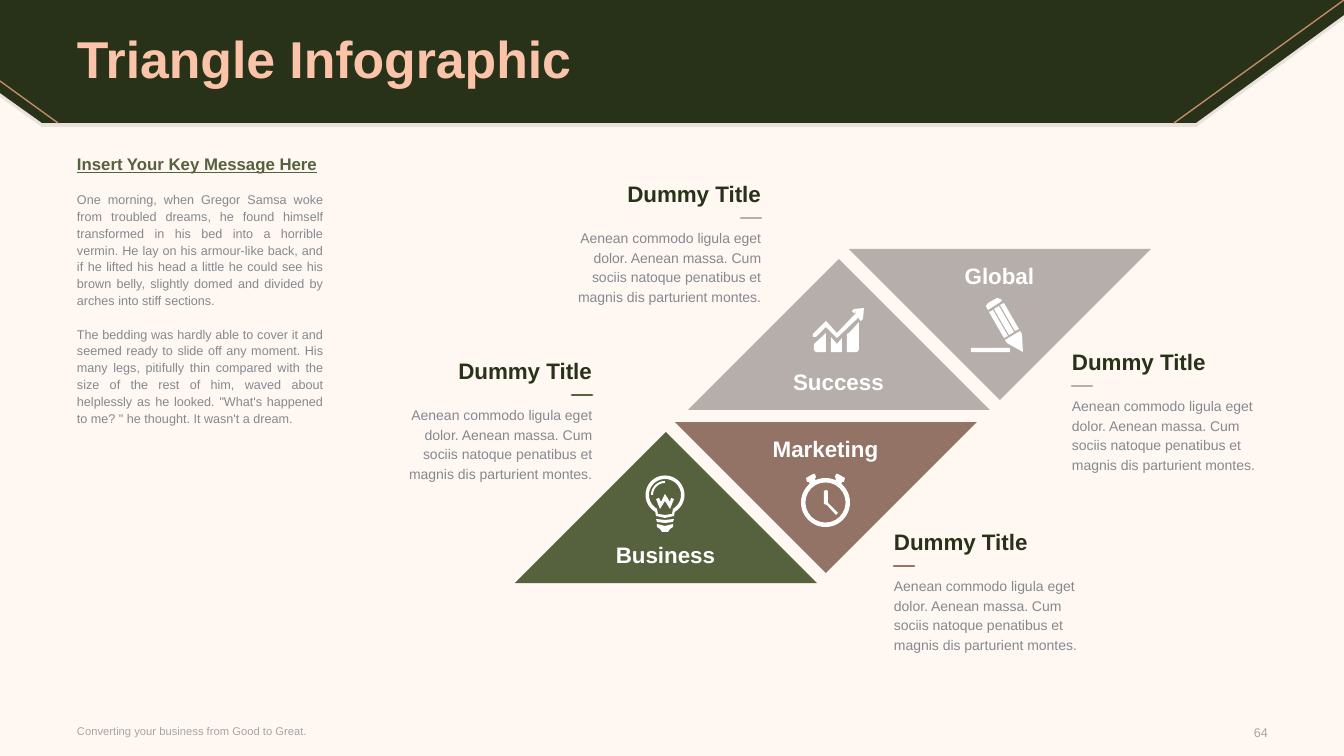
from math import cos, radians, sin

from lxml.etree import SubElement
from pptx import Presentation
from pptx.dml.color import RGBColor
from pptx.enum.shapes import MSO_CONNECTOR, MSO_SHAPE
from pptx.enum.text import MSO_ANCHOR, PP_ALIGN
from pptx.oxml import parse_xml
from pptx.oxml.ns import nsdecls, qn
from pptx.util import Pt

PX = 12192000 / 1344  # EMU per px
color = RGBColor.from_string
DARK, GREEN, BROWN, TAUPE = "283218", "56613D", "927365", "B6AEAB"
GREY, PALE, WHITE = "85898F", "A6A6A6", "FFFFFF"
LEFT, CENTER, RIGHT = PP_ALIGN.LEFT, PP_ALIGN.CENTER, PP_ALIGN.RIGHT

prs = Presentation()
prs.slide_width, prs.slide_height = round(1344 * PX), round(756 * PX)
s = prs.slides.add_slide(prs.slide_layouts[6])
s.background.fill.solid()
s.background.fill.fore_color.rgb = color("FFF7F2")


def outline(contours, fill):
    """Draw closed contours, given in px, as one filled shape."""
    points = [[(x * PX, y * PX) for x, y in c] for c in contours]
    fb = s.shapes.build_freeform(*points[0][0], scale=1.0)
    for i, c in enumerate(points):
        if i:
            fb.move_to(*c[0])
        fb.add_line_segments(c[1:], close=True)
    sp = fb.convert_to_shape()
    sp.shadow.inherit = False
    sp.fill.solid()
    sp.fill.fore_color.rgb = color(fill)
    sp.line.fill.background()
    return sp


def text(box, words, size, fill, align=LEFT, spacing=None, anchor=MSO_ANCHOR.TOP, **font):
    """Add a text box without margins and return its frame."""
    tf = s.shapes.add_textbox(*(round(v * PX) for v in box)).text_frame
    tf.word_wrap = True
    tf.vertical_anchor = anchor
    tf.margin_left = tf.margin_right = tf.margin_top = tf.margin_bottom = 0
    for i, line in enumerate(words.split("\n")):
        p = tf.paragraphs[0] if i == 0 else tf.add_paragraph()
        p.alignment = align
        p.line_spacing = spacing
        r = p.add_run()
        r.text = line
        for name, value in {"name": "Arial", "size": Pt(size), **font}.items():
            setattr(r.font, name, value)
        r.font.color.rgb = color(fill)
    return tf


# Header band and its soft shadow
band = [(0, 0), (1344, 0), (1344, 15), (1196, 123), (42, 123), (0, 93)]
sp = outline([[(x, y + 4) for x, y in band]], DARK)
SubElement(sp.fill._xPr.find(".//" + qn("a:srgbClr")), qn("a:alpha"), val="10000")
outline([band], DARK)

# Title with gradient letters
tf = text((77, 3, 1190, 118), "Triangle Infographic", 37, "FBC4AA",
          spacing=0.9, anchor=MSO_ANCHOR.MIDDLE, bold=True)
stops = [(0, "B98763"), (35, "FBC4AA"), (64, "FBC4AA"), (83, "BF896E"), (100, "784D31")]
gs = "".join(f'<a:gs pos="{pos * 1000}"><a:srgbClr val="{c}"/></a:gs>' for pos, c in stops)
rPr = tf.paragraphs[0].runs[0].font._element
rPr.replace(rPr.find(qn("a:solidFill")), parse_xml(
    f'<a:gradFill {nsdecls("a")}><a:gsLst>{gs}</a:gsLst><a:lin ang="0"/></a:gradFill>'))

# Key message
tf = text((77, 157, 246, 523),
          "Insert Your Key Message Here\n"
          "One morning, when Gregor Samsa woke from troubled dreams, he found himself "
          "transformed in his bed into a horrible vermin. He lay on his armour-like back, "
          "and if he lifted his head a little he could see his brown belly, slightly domed "
          "and divided by arches into stiff sections.\n"
          "The bedding was hardly able to cover it and seemed ready to slide off any moment. "
          "His many legs, pitifully thin compared with the size of the rest of him, waved "
          "about helplessly as he looked. \"What's happened to me? \" he thought. "
          "It wasn't a dream.",
          9, GREY, PP_ALIGN.JUSTIFY, Pt(12))
heading, *story = tf.paragraphs
for name, value in {"size": Pt(12), "bold": True, "underline": True}.items():
    setattr(heading.runs[0].font, name, value)
heading.runs[0].font.color.rgb = color(GREEN)
for p in story:
    p.space_before = Pt(12)

# Footer
text((77, 718, 527, 26), "Converting your business from Good to Great.", 8, PALE,
     anchor=MSO_ANCHOR.MIDDLE)
text((1205, 719, 63, 26), "64", 9, PALE, RIGHT, anchor=MSO_ANCHOR.MIDDLE)

# Triangles: left corner, base and direction of the tip
for label, left, base, tip, fill in [
    ("Business", 515, 583, -1, GREEN),
    ("Global", 849, 249, 1, TAUPE),
    ("Marketing", 675, 422, 1, BROWN),
    ("Success", 688, 410, -1, TAUPE),
]:
    outline([[(left, base), (left + 151, base + tip * 151), (left + 302, base)]], fill)
    top = base + 13 if tip > 0 else base - 42
    text((left + 53, top, 195, 27), label, 16, WHITE, CENTER, bold=True)

# Light bulb icon
ray = [(cos(radians(a)), sin(radians(a))) for a in range(0, 421, 10)]
glass = [[(665 + r * x, 495 + r * y) for x, y in ray[12:]] + neck for r, neck in [
    (19.5, [(674, 516), (665, 518), (656, 516)]),
    (16, [(672, 514), (665, 515), (658, 514)]),
]]
glare = ([(665 + 14 * x, 495 + 14 * y) for x, y in ray[18:28]]
         + [(665 + 12 * x, 495 + 12 * y) for x, y in ray[27:17:-1]])
outline(glass + [
    glare,
    [(670, 502), (665, 494), (661, 502), (659, 498), (656, 499), (660, 509), (665, 501),
     (670, 509), (674, 499), (671, 498)],
    [(656, 519), (657, 522), (665, 523), (673, 522), (674, 519), (665, 520)],
    [(657, 524), (657, 527), (660, 529), (662, 532), (668, 532), (670, 529), (673, 527),
     (673, 524), (665, 526)],
], WHITE)

# Alarm clock icon
ring = s.shapes.add_shape(MSO_SHAPE.DONUT, *(round(v * PX) for v in (801, 478, 49, 49)))
ring.adjustments[0] = 0.09
ring.shadow.inherit = False
ring.fill.solid()
ring.fill.fore_color.rgb = color(WHITE)
ring.line.fill.background()
bell = [(806, 478), (813, 474), (815, 474), (816, 477), (815, 479), (816, 481), (810, 485),
        (809, 482), (807, 482)]
hands = [(824, 491), (826, 490), (828, 491), (828, 503), (838, 513), (836, 515), (827, 505),
         (824, 504)]
outline([bell, [(1651 - x, y) for x, y in bell], hands], WHITE)

# Growth chart icon
outline([
    [(814, 350), (816, 352), (826, 352), (826, 333), (814, 344)],
    [(831, 337), (831, 352), (842, 352), (842, 338), (837, 344)],
    [(847, 334), (847, 352), (857, 352), (859, 350), (859, 322), (849, 333)],
    [(854, 309), (852, 311), (854, 313), (857, 312), (837, 333), (826, 321), (813, 334),
     (813, 337), (816, 337), (826, 327), (837, 338), (859, 317), (859, 319), (861, 321),
     (863, 319), (864, 308)],
], WHITE)

# Pencil icon
outline([
    [(1007, 343), (1023, 352), (1022, 334), (1020, 331), (1005, 340)],
    [(1015, 331), (1019, 329), (1004, 303), (1000, 305)],
    [(1014, 332), (999, 306), (994, 309), (1009, 335)],
    [(989, 312), (1004, 338), (1008, 336), (993, 310)],
    [(988, 310), (1002, 301), (1001, 299), (997, 298), (988, 303), (986, 306)],
    [(971, 352), (1010, 352), (1010, 348), (971, 348)],
], WHITE)

# Captions, and the lines to draw: ends, colour, width
lines = [((1344, 0, 1174, 123), "C08B66", 1), ((58, 123, 0, 81), "C08B66", 1)]
for left, top, fill, align in [
    (397, 357, GREEN, RIGHT),
    (566, 180, TAUPE, RIGHT),
    (894, 528, BROWN, LEFT),
    (1072, 348, TAUPE, LEFT),
]:
    text((left, top, 195, 27), "Dummy Title", 16, DARK, align, bold=True)
    text((left, top + 47, 195, 80),
         "Aenean commodo ligula eget dolor. Aenean massa. Cum sociis natoque penatibus et "
         "magnis dis parturient montes.", 10, GREY, align, Pt(14))
    x = left + 175 if align == RIGHT else left
    lines.append(((x, top + 38, x + 20, top + 38), fill, 2))

# Header accents and caption dashes
for ends, fill, width in lines:
    ln = s.shapes.add_connector(MSO_CONNECTOR.STRAIGHT, *(round(v * PX) for v in ends))
    ln.line.color.rgb = color(fill)
    ln.line.width = Pt(width)
    ln.line._get_or_add_ln().set("cap", "rnd")
    SubElement(ln._element.spPr, qn("a:effectLst"))

prs.save("out.pptx")
